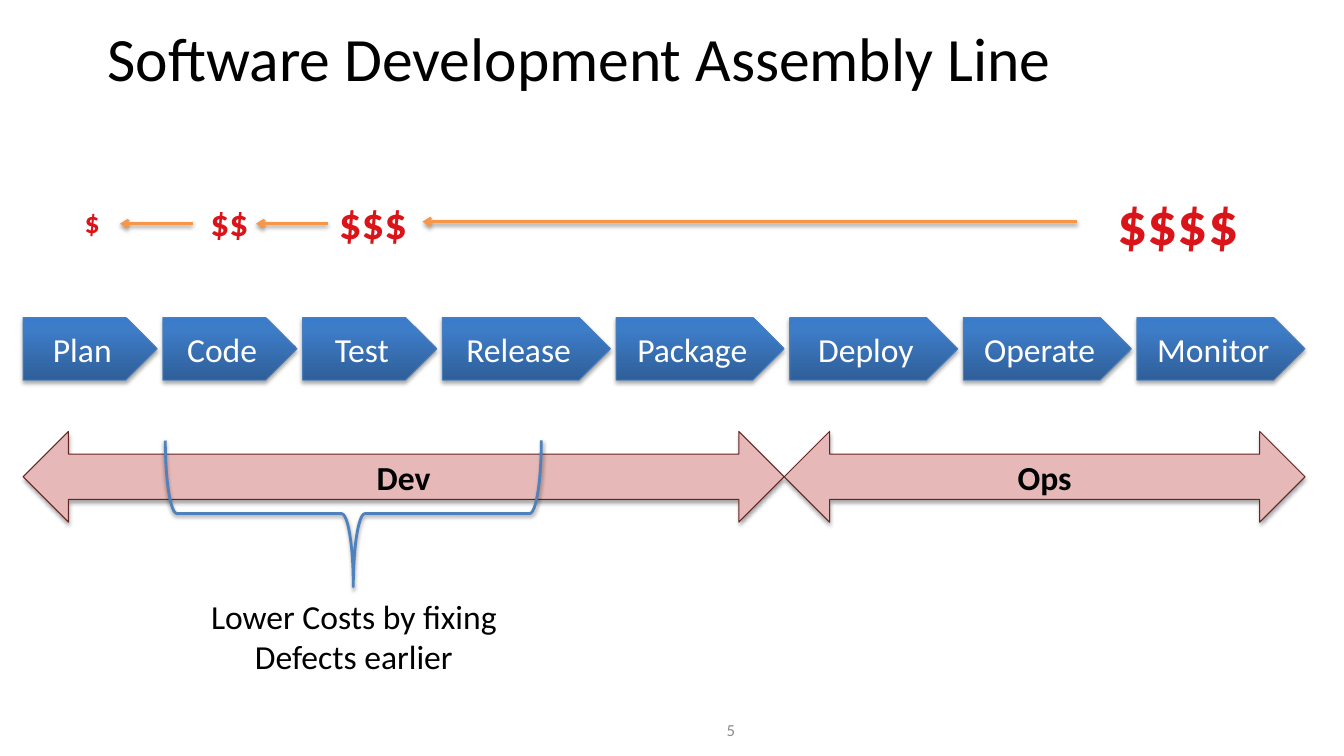
import copy
import dataclasses
import typing

import pptx
import pptx.dml.color
import pptx.enum.shapes
import pptx.enum.text
import pptx.oxml
import pptx.oxml.ns
import pptx.util

RGB = pptx.dml.color.RGBColor
KIND = pptx.enum.shapes.MSO_SHAPE
ALIGN = pptx.enum.text.PP_ALIGN
MIDDLE = pptx.enum.text.MSO_ANCHOR.MIDDLE
TOP = pptx.enum.text.MSO_ANCHOR.TOP

FONT = "Calibri"
BLACK = RGB(0x00, 0x00, 0x00)
WHITE = RGB(0xFF, 0xFF, 0xFF)
GREY = RGB(0x8C, 0x8C, 0x8C)
RED = RGB(0xDA, 0x14, 0x18)
ORANGE = RGB(0xF7, 0x96, 0x46)
PINK = RGB(0xE6, 0xB9, 0xB8)
MAROON = RGB(0x63, 0x25, 0x23)
BLUE = RGB(0x4F, 0x81, 0xBD)
EDGE = RGB(0x4B, 0x7E, 0xBC)
STOPS = [(0, RGB(0x2F, 0x5F, 0x99)), (0.8, RGB(0x3D, 0x7C, 0xC7)),
         (1, RGB(0x3A, 0x7C, 0xCB))]

WIDE = pptx.util.Inches(13.333)
HIGH = pptx.util.Inches(7.5)


@dataclasses.dataclass
class Box:
    """A place on the slide, in percent of its width and height."""
    left: float
    top: float
    width: float
    height: float

    def place(self) -> tuple[int, int, int, int]:
        return (across(self.left), down(self.top),
                across(self.width), down(self.height))


@dataclasses.dataclass
class Label:
    text: str
    box: Box
    size: float
    color: RGB = BLACK
    bold: bool = False
    align: typing.Any = ALIGN.CENTER
    anchor: typing.Any = TOP


@dataclasses.dataclass
class Arrow:
    start: float
    end: float
    row: float


def across(share: float) -> int:
    return round(WIDE * share / 100)


def down(share: float) -> int:
    return round(HIGH * share / 100)


def write(shape: typing.Any, text: str, size: float, color: RGB,
          bold: bool = False, align: typing.Any = ALIGN.CENTER,
          anchor: typing.Any = MIDDLE) -> None:
    frame = shape.text_frame
    frame.text = text
    frame.word_wrap = True
    frame.vertical_anchor = anchor
    line = frame.paragraphs[0]
    line.alignment = align
    font = line.runs[0].font
    font.name, font.size, font.bold = FONT, pptx.util.Pt(size), bold
    font.color.rgb = color


def shade(shape: typing.Any, alpha: int, dist: float) -> None:
    shape._element.spPr.append(pptx.oxml.parse_xml(
        f'<a:effectLst {pptx.oxml.ns.nsdecls("a")}>'
        f'<a:outerShdw blurRad="{pptx.util.Pt(3.1)}" dist="{pptx.util.Pt(dist)}"'
        ' dir="5400000" rotWithShape="0"><a:srgbClr val="000000">'
        f'<a:alpha val="{alpha * 1000}"/></a:srgbClr></a:outerShdw></a:effectLst>'))


def outline(shape: typing.Any, color: RGB, width: float) -> None:
    shape.line.color.rgb = color
    shape.line.width = pptx.util.Pt(width)


def draw_label(slide: typing.Any, label: Label) -> typing.Any:
    shape = slide.shapes.add_textbox(*label.box.place())
    write(shape, label.text, label.size, label.color, label.bold,
          label.align, label.anchor)
    return shape


def draw_step(slide: typing.Any, text: str, box: Box) -> None:
    shape = slide.shapes.add_shape(KIND.PENTAGON, *box.place())
    shape.fill.gradient()
    stops = shape._element.spPr.find(".//" + pptx.oxml.ns.qn("a:gsLst"))
    stops.append(copy.deepcopy(stops[0]))
    for stop, (spot, color) in zip(shape.fill.gradient_stops, STOPS):
        stop.position = spot
        stop.color.rgb = color
    shape.fill.gradient_angle = 90
    outline(shape, EDGE, 0.75)
    shade(shape, 35, 1.8)
    write(shape, text, 24, WHITE)


def draw_phase(slide: typing.Any, text: str, box: Box) -> None:
    shape = slide.shapes.add_shape(KIND.LEFT_RIGHT_ARROW, *box.place())
    shape.fill.solid()
    shape.fill.fore_color.rgb = PINK
    outline(shape, MAROON, 0.75)
    shade(shape, 35, 1.8)
    write(shape, text, 24, BLACK, bold=True)


def draw_arrow(slide: typing.Any, arrow: Arrow) -> typing.Any:
    row = down(arrow.row)
    shape = slide.shapes.add_connector(
        pptx.enum.shapes.MSO_CONNECTOR.STRAIGHT,
        across(arrow.start), row, across(arrow.end), row)
    outline(shape, ORANGE, 2)
    shape.line._ln.append(pptx.oxml.parse_xml(
        f'<a:tailEnd {pptx.oxml.ns.nsdecls("a")} type="arrow"/>'))
    shade(shape, 38, 1.6)
    return shape


def draw_brace(slide: typing.Any, box: Box) -> None:
    shape = slide.shapes.add_shape(KIND.LEFT_BRACE, *box.place())
    shape.rotation = 270
    shape.adjustments[0], shape.adjustments[1] = 0.08, 0.5
    shape.fill.background()
    outline(shape, BLUE, 2)
    shade(shape, 38, 1.6)


# Steps run left to right with equal gaps
START, GAP = 1.72, 0.42
STEPS = [("Plan", 9.98), ("Code", 9.98), ("Test", 9.98), ("Release", 12.5),
         ("Package", 12.5), ("Deploy", 12.5), ("Operate", 12.5),
         ("Monitor", 12.5)]
PHASES = [("Dev", 56.63), ("Ops", 38.75)]

COSTS = [
    Label("$$$$", Box(80.1, 23.87, 15.08, 10.93), 42.7, RED, True),
    Label("$$$", Box(24.08, 25.07, 7.35, 8.53), 32, RED, True),
    Label("$$", Box(12.3, 25.73, 9.53, 7.33), 26.7, RED, True),
    Label("$", Box(2.1, 26.27, 9.53, 6.13), 21.3, RED, True),
]
ARROWS = [Arrow(80.1, 31.43, 29.33), Arrow(24.38, 19.05, 29.6),
          Arrow(14.33, 8.93, 29.6)]
NOTE = Label("Lower Costs by fixing Defects earlier",
             Box(11.33, 78.13, 30, 12.13), 24)
NUMBER = Label("5", Box(43.95, 93.87, 11.48, 5.33), 12, GREY,
               align=ALIGN.RIGHT, anchor=MIDDLE)


def main() -> None:
    deck = pptx.Presentation()
    deck.slide_width, deck.slide_height = WIDE, HIGH
    slide = deck.slides.add_slide(deck.slide_layouts[5])

    # Title and page number
    title = slide.shapes.title
    title.left, title.top, title.width, title.height = Box(
        5.18, 0.67, 75.9, 15.07).place()
    write(title, "Software Development Assembly Line", 44, BLACK)
    title.text_frame.paragraphs[0].line_spacing = 0.9
    draw_label(slide, NUMBER)

    # Assembly line
    left = START
    for text, width in STEPS:
        draw_step(slide, text, Box(left, 42, width, 8.27))
        left += width + GAP

    # Costs, falling towards the left
    costs = [draw_label(slide, cost) for cost in COSTS]
    arrows = [draw_arrow(slide, arrow) for arrow in ARROWS]
    arrows[0].begin_connect(costs[0], 1)
    arrows[0].end_connect(costs[1], 3)

    # Phases
    left = START
    for text, width in PHASES:
        draw_phase(slide, text, Box(left, 57.07, width, 12))
        left += width

    # Brace with its note
    draw_brace(slide, Box(20.85, 43.07, 10.88, 49.73))
    draw_label(slide, NOTE)

    deck.save("out.pptx")


if __name__ == "__main__":
    main()
